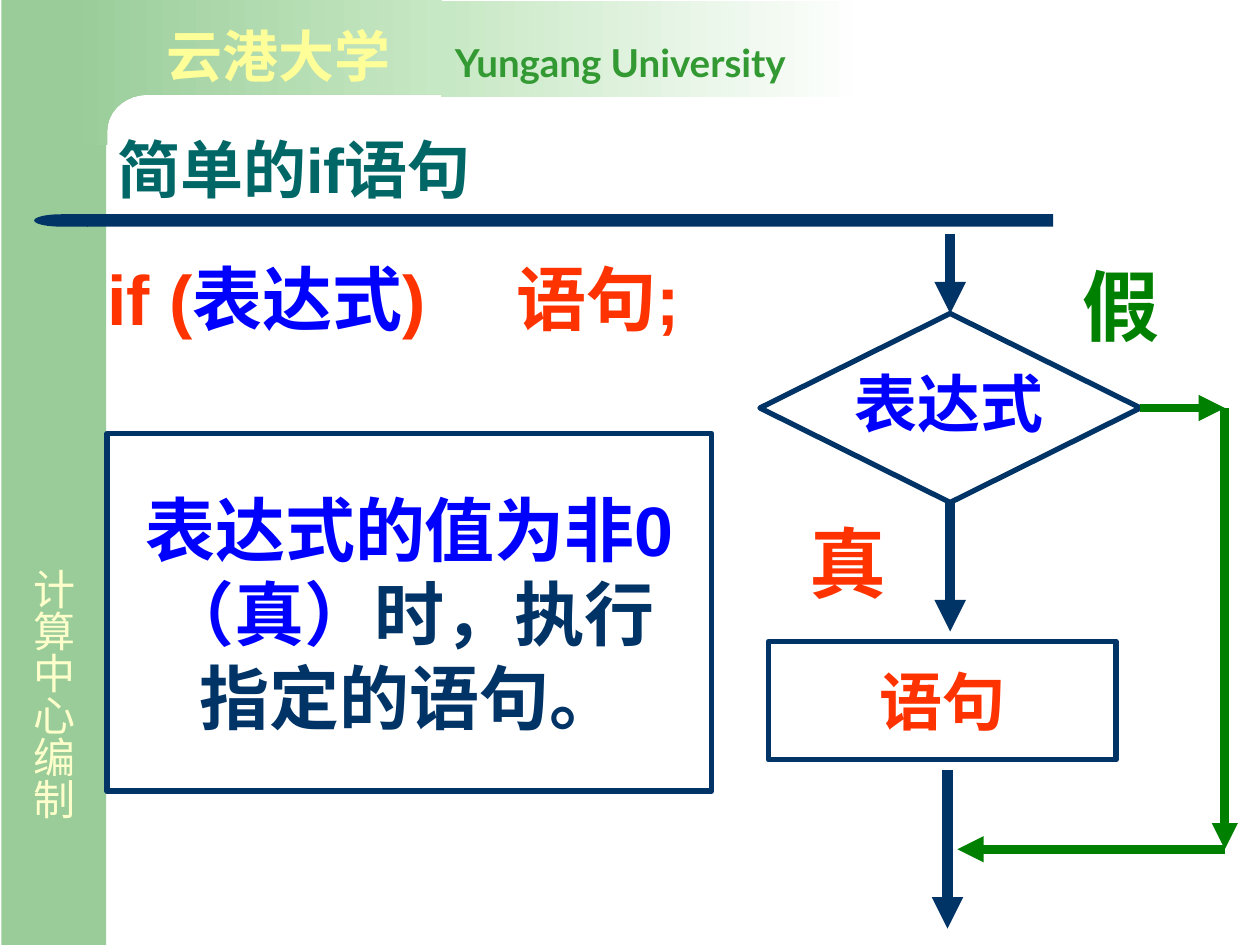
import math
import pptx
import pptx.util
import pptx.dml.color
import pptx.enum.shapes
import pptx.enum.text
import pptx.oxml.ns
from lxml import etree

Cm, Pt = pptx.util.Cm, pptx.util.Pt
RGBColor = pptx.dml.color.RGBColor
SHAPE = pptx.enum.shapes.MSO_SHAPE
ANCHOR = pptx.enum.text.MSO_ANCHOR
ALIGN = pptx.enum.text.PP_ALIGN
qn = pptx.oxml.ns.qn

GREEN = RGBColor(0x99, 0xCC, 0x99)
PALE_GREEN = RGBColor(0xC7, 0xE8, 0xC4)
WHITE = RGBColor(0xFF, 0xFF, 0xFF)
NAVY = RGBColor(0x00, 0x33, 0x66)
CREAM = RGBColor(0xFF, 0xFF, 0xCC)
YELLOW = RGBColor(0xFF, 0xFF, 0x99)
MID_GREEN = RGBColor(0x33, 0x99, 0x33)
TEAL = RGBColor(0x00, 0x66, 0x66)
RED = RGBColor(0xFF, 0x33, 0x00)
BLUE = RGBColor(0x00, 0x00, 0xFF)
DARK_GREEN = RGBColor(0x00, 0x80, 0x00)

CENTERED = {"align": ALIGN.CENTER, "anchor": ANCHOR.MIDDLE, "wrap": False}

TEXTS = [
    ((0.3, 11.33, 1.52, 5.79), [[("计算中心编制", 24, CREAM, "Arial", False)]],
     {"vert": "eaVert"}),
    ((3.1, 0.3, 15.6, 1.6),
     [[("云港大学\t", 32, YELLOW, "Arial", True),
       ("Yungang University", 22, MID_GREEN, "Lato", True)]], {"tab": 5.82}),
    ((2.11, 2.13, 22.02, 2.18), [[("简单的if语句", 36, TEAL, "Arial", True)]],
     {"anchor": ANCHOR.BOTTOM, "spacing": 0.9}),
    ((2.11, 5.13, 12.6, 2.39),
     [[("if (", 40, RED, "Arial", True), ("表达式", 40, BLUE, "Arial", True),
       (")\t语句;", 40, RED, "Arial", True)]],
     {"tab": 8.25, "inset": (0.05, 0.03)}),
    ((16.84, 7.21, 4.6, 1.8), [[("表达式", 36, BLUE, "Arial", True)]], CENTERED),
    ((15.49, 10.31, 3.2, 2.01), [[("真", 44, RED, "Arial", True)]], CENTERED),
    ((20.7, 5.13, 3.81, 2.01), [[("假", 44, DARK_GREEN, "Arial", True)]], CENTERED),
]

BOXES = [
    ((2.16, 8.74, 12.19, 7.21),
     [[("表达式的值为非0", 40, BLUE, "Arial", True)],
      [("（真）", 40, BLUE, "Arial", True), ("时，执行", 40, NAVY, "Arial", True)],
      [("指定的语句。", 40, NAVY, "Arial", True)]]),
    ((15.49, 12.93, 7.01, 2.39), [[("语句", 36, RED, "Arial", True)]]),
]

DIAMOND = (15.32, 6.32, 7.67, 3.81)
AXIS = DIAMOND[0] + DIAMOND[2] / 2
MIDDLE = DIAMOND[1] + DIAMOND[3] / 2
RIGHT, JOIN = 24.69, 17.12

ARROWS = [
    ((AXIS, 4.72), (AXIS, DIAMOND[1]), NAVY, 6, None, 0),
    ((AXIS, DIAMOND[1] + DIAMOND[3]), (AXIS, 12.73), NAVY, 6, 2, None),
    ((19.1, 15.52), (19.1, 18.72), NAVY, 6, None, None),
    ((DIAMOND[0] + DIAMOND[2], MIDDLE), (RIGHT, MIDDLE), DARK_GREEN, 5, 3, None),
    ((RIGHT, MIDDLE), (RIGHT, JOIN), DARK_GREEN, 5, None, None),
    ((RIGHT, JOIN), (19.3, JOIN), DARK_GREEN, 5, None, None),
]


def paint(sp, fill=None, line=None):
    sp.shadow.inherit = False
    if isinstance(fill, list):
        sp.fill.gradient()
        sp.fill.gradient_angle = 0
        for stop, color, position in zip(sp.fill.gradient_stops, fill, (0, 1)):
            stop.color.rgb, stop.position = color, position
    elif fill is not None:
        sp.fill.solid()
        sp.fill.fore_color.rgb = fill
    else:
        sp.fill.background()
    if line is not None:
        sp.line.color.rgb, sp.line.width = line, Pt(3)
    else:
        sp.line.fill.background()


def add_shape(s, kind, at, fill=None, line=None):
    sp = s.shapes.add_shape(kind, *map(Cm, at))
    paint(sp, fill, line)
    return sp


def write(sp, paragraphs, align=ALIGN.LEFT, anchor=ANCHOR.TOP, wrap=True,
          spacing=None, vert=None, tab=None, inset=(0.25, 0.13)):
    tf = sp.text_frame
    dx, dy = map(Cm, inset)
    for name, value in {"word_wrap": wrap, "vertical_anchor": anchor,
                        "margin_left": dx, "margin_right": dx,
                        "margin_top": dy, "margin_bottom": dy}.items():
        setattr(tf, name, value)
    if vert:
        tf._txBody.bodyPr.set("vert", vert)
    for i, runs in enumerate(paragraphs):
        p = tf.add_paragraph() if i else tf.paragraphs[0]
        p.alignment = align
        if spacing:
            p.line_spacing = spacing
        if tab:
            tabs = etree.SubElement(p._p.get_or_add_pPr(), qn("a:tabLst"))
            etree.SubElement(tabs, qn("a:tab"), pos=str(Cm(tab)), algn="l")
        for text, size, color, font, bold in runs:
            r = p.add_run()
            r.text = text
            for name, value in {"size": Pt(size), "name": font, "bold": bold}.items():
                setattr(r.font, name, value)
            r.font.color.rgb = color


def add_corner(s):
    arc = [(2.97 - 0.81 * math.sin(a), 2.65 - 0.74 * math.cos(a))
           for a in (math.radians(d) for d in range(0, 91, 10))]
    points = [(8.92, 0), (8.92, 1.91), *arc, (2.16, 2.92), (1.3, 2.92), (1.3, 0)]
    points = [(Cm(x), Cm(y)) for x, y in points]
    builder = s.shapes.build_freeform(*points[0])
    builder.add_line_segments(points[1:], close=True)
    paint(builder.convert_to_shape(), [GREEN, PALE_GREEN])


def add_arrow(s, start, end, color, width, begin_site, end_site, diamond):
    kind = pptx.enum.shapes.MSO_CONNECTOR.STRAIGHT
    c = s.shapes.add_connector(kind, *map(Cm, start + end))
    c.line.color.rgb, c.line.width = color, Pt(width)
    etree.SubElement(c.line._get_or_add_ln(), qn("a:tailEnd"), type="triangle")
    etree.SubElement(c._element.spPr, qn("a:effectLst"))
    if begin_site is not None:
        c.begin_connect(diamond, begin_site)
    if end_site is not None:
        c.end_connect(diamond, end_site)


def main():
    prs = pptx.Presentation()
    prs.slide_width, prs.slide_height = Cm(25.4), Cm(19.05)
    s = prs.slides.add_slide(prs.slide_layouts[6])
    add_shape(s, SHAPE.RECTANGLE, (0.03, 0, 2.11, 19.05), GREEN)
    add_corner(s)
    add_shape(s, SHAPE.RECTANGLE, (1.75, 4.32, 19.48, 0.25), NAVY)
    cap = add_shape(s, SHAPE.FLOWCHART_DELAY, (0.69, 4.32, 1.09, 0.25), NAVY)
    cap._element.spPr.xfrm.set("flipH", "1")
    add_shape(s, SHAPE.RECTANGLE, (8.89, 0.03, 8.61, 1.93), [PALE_GREEN, WHITE])
    for at, paragraphs, style in TEXTS:
        write(s.shapes.add_textbox(*map(Cm, at)), paragraphs, **style)
    for at, paragraphs in BOXES:
        write(add_shape(s, SHAPE.RECTANGLE, at, line=NAVY), paragraphs, **CENTERED)
    diamond = add_shape(s, SHAPE.DIAMOND, DIAMOND, line=NAVY)
    for arrow in ARROWS:
        add_arrow(s, *arrow, diamond)
    prs.save("out.pptx")


if __name__ == "__main__":
    main()
